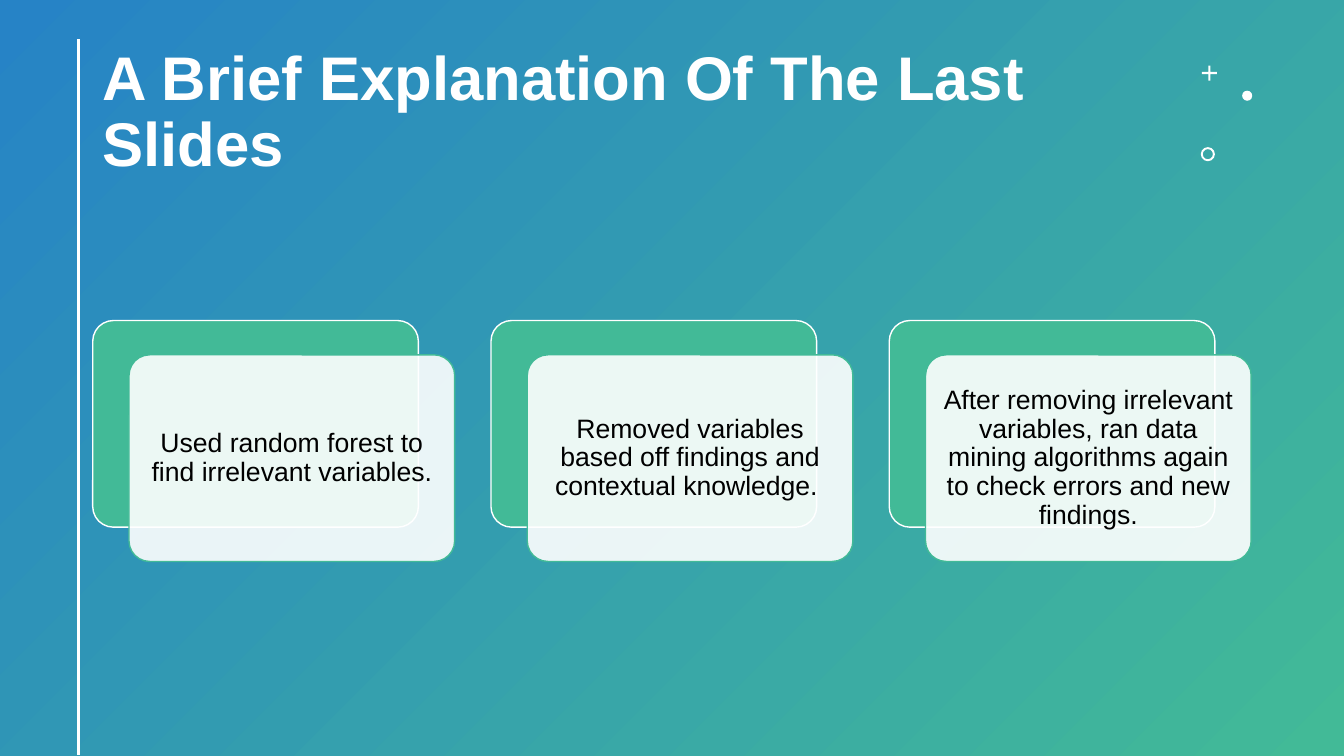
from lxml import etree
from pptx import Presentation
from pptx.dml.color import RGBColor
from pptx.enum.shapes import MSO_CONNECTOR, MSO_SHAPE
from pptx.enum.text import MSO_ANCHOR, PP_ALIGN
from pptx.oxml.ns import qn
from pptx.util import Inches, Pt

COLORS = {"blue": "2683C6", "green": "42BA97", "white": "FFFFFF", "black": "000000"}
STEPS = [
    "Used random forest to find irrelevant variables.",
    "Removed variables based off findings and contextual knowledge. ",
    "After removing irrelevant variables, ran data mining algorithms again "
    "to check errors and new findings.",
]
CARD_LEFT, CARD_TOP, CARD_PITCH = 0.92, 3.18, 3.95
CARD_WIDTH, CARD_HEIGHT = 3.23, 2.05
FRONT_SHIFT_X, FRONT_SHIFT_Y = 0.36, 0.34


def add_filled_shape(kind, left, top, width, height, fill, line=None):
    shape = slide.shapes.add_shape(
        kind, Inches(left), Inches(top), Inches(width), Inches(height))
    shape.shadow.inherit = False
    shape.fill.solid()
    shape.fill.fore_color.rgb = RGBColor.from_string(COLORS[fill])
    if line:
        shape.line.color.rgb = RGBColor.from_string(COLORS[line])
        shape.line.width = Pt(1)
    else:
        shape.line.fill.background()
    return shape


def write_text(shape, text, size, color, alignment, bold=False):
    frame = shape.text_frame
    frame.word_wrap = True
    frame.vertical_anchor = MSO_ANCHOR.MIDDLE
    paragraph = frame.paragraphs[0]
    paragraph.text = text
    paragraph.alignment = alignment
    paragraph.line_spacing = 0.9
    paragraph.font.name = "Arial"
    paragraph.font.size = Pt(size)
    paragraph.font.bold = bold
    paragraph.font.color.rgb = RGBColor.from_string(COLORS[color])


presentation = Presentation()
presentation.slide_width = Inches(13.33)
presentation.slide_height = Inches(7.5)
slide = presentation.slides.add_slide(presentation.slide_layouts[6])

# Gradient backdrop, blue at top left to green at bottom right
backdrop = add_filled_shape(MSO_SHAPE.RECTANGLE, 0, 0, 13.33, 7.5, "blue")
backdrop.fill.gradient()
backdrop.fill.gradient_angle = 315
for stop, position, color in zip(backdrop.fill.gradient_stops, (0, 1), ("blue", "green")):
    stop.position = position
    stop.color.rgb = RGBColor.from_string(COLORS[color])

# Title and the rule beside it
title = slide.shapes.add_textbox(Inches(0.92), Inches(0.4), Inches(10.72), Inches(1.45))
write_text(title, "A Brief Explanation Of The Last Slides", 44, "white", PP_ALIGN.LEFT, bold=True)

rule = slide.shapes.add_connector(
    MSO_CONNECTOR.STRAIGHT, Inches(0.78), Inches(0.39), Inches(0.78), Inches(7.49))
rule.line.color.rgb = RGBColor.from_string(COLORS["white"])
rule.line.width = Pt(2)
etree.SubElement(rule._element.spPr, qn("a:effectLst"))

# Ornaments at top right
plus = add_filled_shape(MSO_SHAPE.CROSS, 11.92, 0.65, 0.15, 0.15, "white")
plus.adjustments[0] = 0.43
add_filled_shape(MSO_SHAPE.OVAL, 12.32, 0.9, 0.1, 0.1, "white")
ring = add_filled_shape(MSO_SHAPE.DONUT, 11.91, 1.46, 0.14, 0.14, "white")
ring.adjustments[0] = 0.14

# Step cards: a green card behind a translucent white one
for index, step in enumerate(STEPS):
    left = CARD_LEFT + index * CARD_PITCH
    back = add_filled_shape(MSO_SHAPE.ROUNDED_RECTANGLE, left, CARD_TOP,
                            CARD_WIDTH, CARD_HEIGHT, "green", "white")
    front = add_filled_shape(MSO_SHAPE.ROUNDED_RECTANGLE, left + FRONT_SHIFT_X,
                             CARD_TOP + FRONT_SHIFT_Y, CARD_WIDTH, CARD_HEIGHT,
                             "white", "green")
    for card in (back, front):
        card.adjustments[0] = 0.1
    front_color = front._element.spPr.find(qn("a:solidFill")).find(qn("a:srgbClr"))
    etree.SubElement(front_color, qn("a:alpha"), val="90000")
    frame = front.text_frame
    frame.margin_left = frame.margin_right = Inches(0.08)
    frame.margin_top = frame.margin_bottom = Inches(0.08)
    write_text(front, step, 19, "black", PP_ALIGN.CENTER)

presentation.save("out.pptx")
